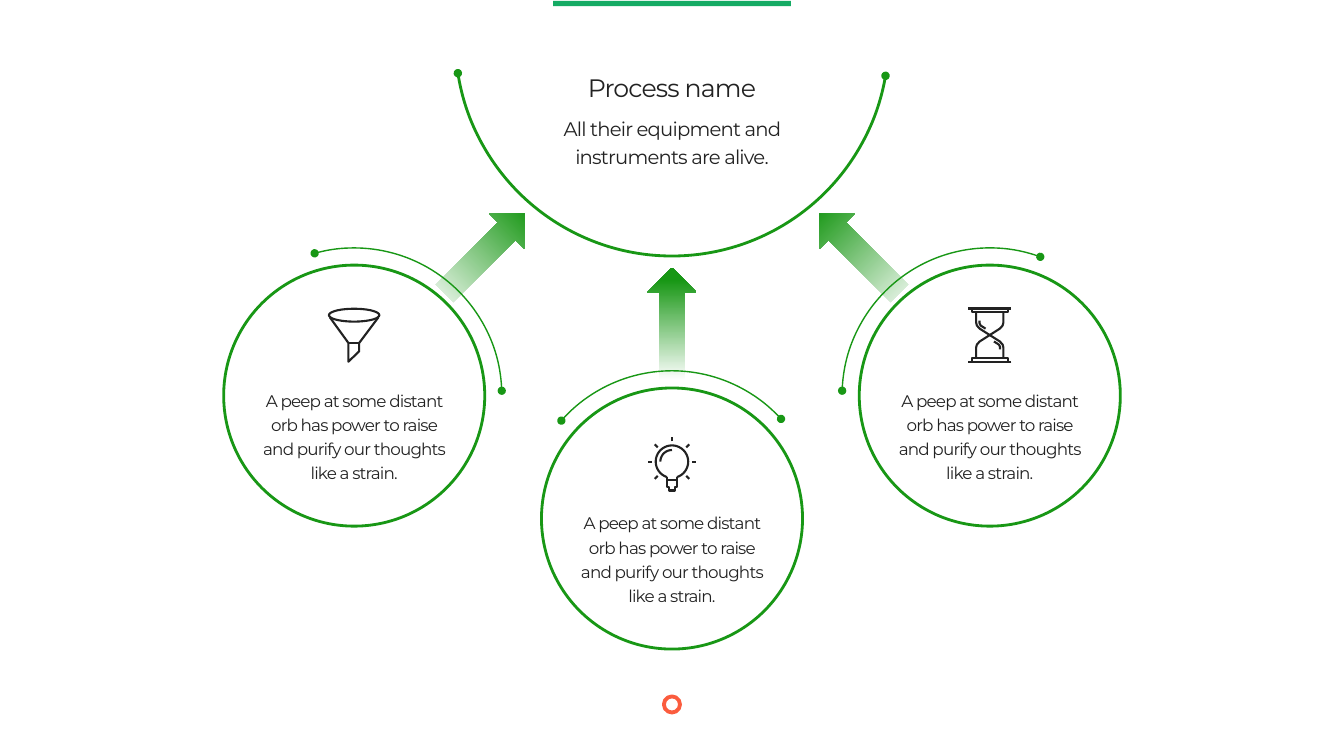
from math import cos, radians, sin

from lxml import etree
from pptx import Presentation
from pptx import util as u
from pptx.dml import color
from pptx.enum import shapes, text
from pptx.oxml import ns

Pt = u.Pt
SHAPE = shapes.MSO_SHAPE


def paint(hex_code):
    return color.RGBColor.from_string(hex_code)


def assign(target, values):
    for name, value in values.items():
        setattr(target, name, value)


def curve(x, y, rx, ry, start=0, end=360, step=10):
    angles = [radians(a) for a in range(start, end + 1, step)]
    return [(x + rx * cos(a), y + ry * sin(a)) for a in angles]


class Diagram:
    green, ink, white = "189715", "222222", "FFFFFF"
    frame = {
        "margin_left": 0, "margin_right": 0,
        "margin_top": Pt(3.6), "margin_bottom": Pt(3.6),
        "word_wrap": True, "auto_size": text.MSO_AUTO_SIZE.NONE,
    }
    paragraph = {"alignment": text.PP_ALIGN.CENTER, "line_spacing": 1.2, "space_before": Pt(0)}

    def __init__(self, slide):
        self.slide = slide

    def label(self, holder, words, size, anchor):
        holder.text_frame.text = words
        assign(holder.text_frame, {**self.frame, "vertical_anchor": anchor})
        line = holder.text_frame.paragraphs[0]
        assign(line, self.paragraph)
        properties = line._p.get_or_add_pPr()
        for name in ("marL", "indent"):
            properties.set(name, "0")
        etree.SubElement(properties, ns.qn("a:buNone"))
        run = line.runs[0]
        assign(run.font, {"name": "Montserrat", "size": Pt(size), "bold": False})
        run.font.color.rgb = paint(self.ink)
        run._r.get_or_add_rPr().set("spc", "-60")

    def placeholder(self, holder, words, size, left, top, width, height):
        assign(holder, {"left": Pt(left), "top": Pt(top), "width": Pt(width), "height": Pt(height)})
        self.label(holder, words, size, text.MSO_ANCHOR.TOP)

    def preset(self, kind, x, y, width, height):
        figure = self.slide.shapes.add_shape(
            kind, Pt(x - width / 2), Pt(y - height / 2), Pt(width), Pt(height))
        figure.shadow.inherit = False
        return figure

    def outline(self, figure, hex_code, weight):
        figure.fill.background()
        figure.line.color.rgb = paint(hex_code)
        figure.line.width = Pt(weight)

    def circle(self, x, y, size, hex_code=green, weight=2):
        ring = self.preset(SHAPE.OVAL, x, y, size, size)
        self.outline(ring, hex_code, weight)
        return ring

    def arc(self, x, y, size, start, end, weight):
        orbit = self.preset(SHAPE.ARC, x, y, size, size)
        self.outline(orbit, self.green, weight)
        for index, degrees in enumerate((start, end)):
            orbit.adjustments[index] = degrees * 0.6
        for tip in ("a:headEnd", "a:tailEnd"):
            etree.SubElement(orbit.line._get_or_add_ln(), ns.qn(tip), type="oval")

    def arrow(self, x, y, rotation):
        pointer = self.preset(SHAPE.RIGHT_ARROW, x, y, 80.6, 35.3)
        pointer.rotation = rotation
        pointer.line.fill.background()
        pointer.fill.gradient()
        pointer.fill.gradient_angle = 0
        fades = ((0, self.white), (0.89, self.green))
        for stop, (position, hex_code) in zip(pointer.fill.gradient_stops, fades):
            stop.position = position
            stop.color.rgb = paint(hex_code)

    def bar(self, x, y, width, height, hex_code):
        band = self.preset(SHAPE.RECTANGLE, x, y, width, height)
        band.fill.solid()
        band.fill.fore_color.rgb = paint(hex_code)
        band.line.fill.background()

    def icon(self, x, y, strokes):
        placed = [[(Pt(x + a), Pt(y + b)) for a, b in stroke] for stroke in strokes]
        pen = self.slide.shapes.build_freeform(*placed[0][0], scale=1.0)
        for stroke in placed:
            pen.move_to(*stroke[0])
            pen.add_line_segments(stroke[1:], close=False)
        drawing = pen.convert_to_shape()
        drawing.shadow.inherit = False
        self.outline(drawing, self.ink, 1.5)


def funnel():
    return [
        curve(0, 5.6, 18, 4.6),
        [(-17.3, 7.2), (-4.1, 25.4), (-4.1, 38.8), (3.6, 31.4), (3.6, 25.4), (17.3, 7.2)],
        [(-4.1, 25.4), (3.6, 25.4)],
    ]


def hourglass():
    side = [(-9.7, 3.6), (-9.7, 11), (-9.2, 13), (-7.2, 15.2),
            (7.2, 24.4), (9.2, 26.6), (9.7, 28.6), (9.7, 36)]
    cap = [(-13, 0.8), (-13, 3.6), (13, 3.6), (13, 0.8)]
    rim = [(-15.5, 0.8), (15.5, 0.8)]
    sand = [(-7.3, 9.5), (-7.3, 11.5), (-6.5, 13), (-3, 15.2)]
    turned = [[(-a, 39.6 - b) for a, b in stroke] for stroke in (cap, rim, sand)]
    return [side, [(-a, b) for a, b in side], cap, rim, sand, *turned]


def bulb():
    middle = 18
    rays = [[(r * cos(radians(a)), middle + r * sin(radians(a))) for r in (14.4, 17.4)]
            for a in range(-225, 46, 45)]
    socket = [(-3.6, 29), (-3.6, 35.8), (-2, 35.8), (-2, 38.6)]
    base = socket + [(-a, b) for a, b in reversed(socket)]
    return [curve(0, middle, 11.6, 11.6, -252, 72, 9), base, [(-3.6, 31.2), (3.6, 31.2)],
            curve(0, middle, 8.3, 8.3, 180, 270), *rays]


def main():
    deck = Presentation()
    assign(deck, {"slide_width": Pt(960), "slide_height": Pt(540)})
    slide = deck.slides.add_slide(deck.slide_layouts[1])
    diagram = Diagram(slide)
    center, spread = 480, 227

    diagram.circle(center, 503.2, 11.5, "FB5C3E", 2.75)
    diagram.arc(center, 28.1, 309.6, 9.7, 171, 2)
    diagram.placeholder(slide.shapes.title, "Process name", 18, center - 89.6, 44, 179.2, 33)
    diagram.placeholder(slide.placeholders[1], "All their equipment and instruments are alive.",
                        14, center - 89.6, 76.2, 179.2, 48)

    steps = (
        (-1, 282.6, 254.5, 358.1, (-134, 181.1, 315), 30.2, funnel()),
        (0, 370.4, 221.5, 317.6, (0, 231.5, 270), 34.6, bulb()),
        (1, 282.6, 181.9, 290, (134, 181.1, 225), 30.2, hourglass()),
    )
    for column, y, start, end, (shift, arrow_y, rotation), drop, strokes in steps:
        x = center + column * spread
        diagram.arrow(center + shift, arrow_y, rotation)
        step = diagram.circle(x, y, 186.5)
        diagram.label(step, "A peep at some distant orb has power to raise "
                      "and purify our thoughts like a strain.", 12, text.MSO_ANCHOR.BOTTOM)
        diagram.arc(x, y, 211, start, end, 1)
        diagram.icon(x, y - 93.25 + drop, strokes)

    diagram.bar(center, 2.5, 170, 3.8, "15AB64")
    deck.save("out.pptx")


if __name__ == "__main__":
    main()
